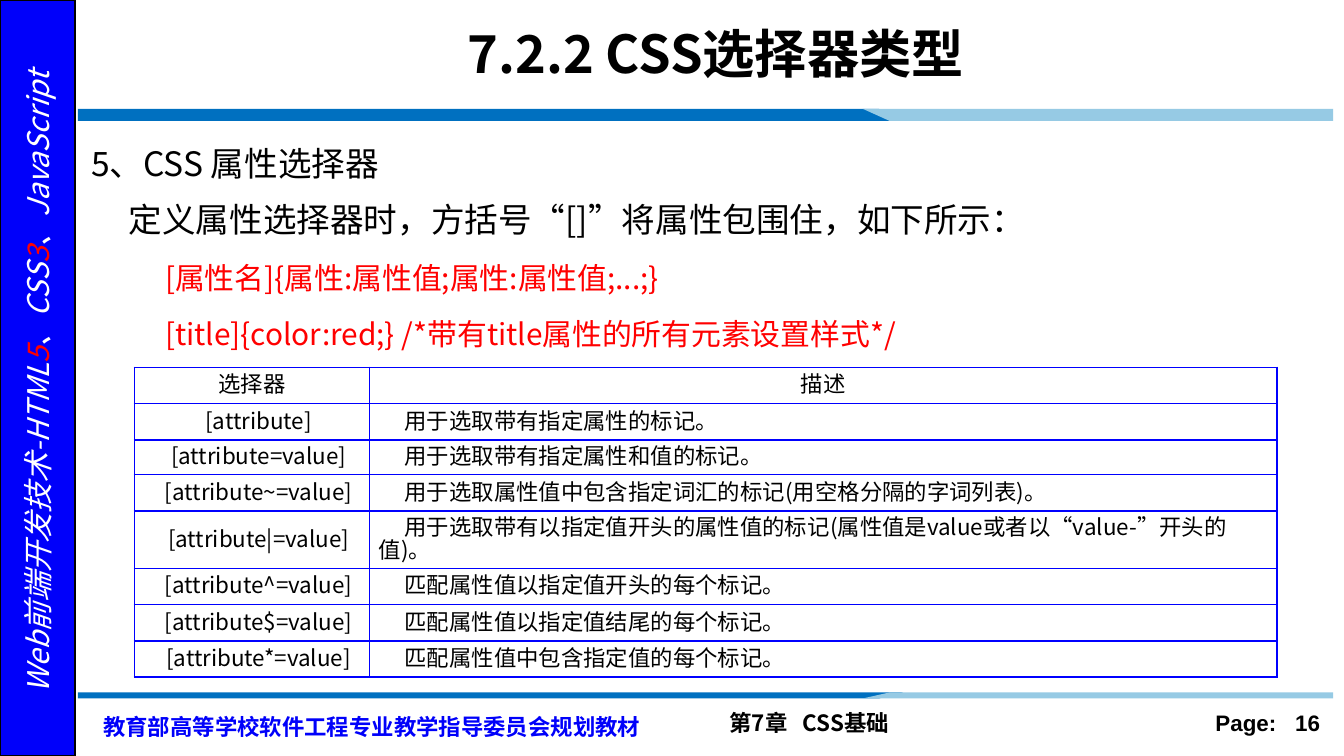
from dataclasses import dataclass
from typing import NamedTuple

from lxml import etree
from pptx import Presentation, util as u
from pptx.dml.color import RGBColor
from pptx.enum import shapes, text
from pptx.oxml.ns import qn

COLORS = {"black": "000000", "white": "FFFFFF", "red": "FF0000", "panel": "0000FA",
          "band": "0070C0", "band_light": "96CAE4", "grid": "0000FF"}
CJK = "Noto Sans CJK SC"
WIDTH, HEIGHT = u.Inches(10), u.Inches(5.625)
LEFT, CENTER, RIGHT = text.PP_ALIGN.LEFT, text.PP_ALIGN.CENTER, text.PP_ALIGN.RIGHT


class Box(NamedTuple):
    """Left, top, width and height in percent of the slide."""
    left: float
    top: float
    width: float
    height: float


class Piece(NamedTuple):
    words: str
    color: str = "black"
    spread: float = 0  # extra letter spacing in points


@dataclass
class Line:
    pieces: list[Piece]
    size: float
    bold: bool = False
    italic: bool = False
    font: str = CJK
    align: text.PP_ALIGN = LEFT
    spacing: float | None = None  # points
    margin: float = 0  # inches
    first_indent: float = 0  # inches


def across(percent: float) -> int:
    return round(WIDTH * percent / 100)


def down(percent: float) -> int:
    return round(HEIGHT * percent / 100)


def place(box: Box) -> tuple[int, int, int, int]:
    return across(box.left), down(box.top), across(box.width), down(box.height)


def rgb(name: str) -> RGBColor:
    return RGBColor.from_string(COLORS[name])


def write(frame, lines: list[Line]) -> None:
    for number, line in enumerate(lines):
        paragraph = frame.add_paragraph() if number else frame.paragraphs[0]
        paragraph.alignment = line.align
        if line.spacing:
            paragraph.line_spacing = u.Pt(line.spacing)
        properties = paragraph._p.get_or_add_pPr()
        properties.set("marL", str(u.Inches(line.margin)))
        properties.set("indent", str(u.Inches(line.first_indent)))
        for piece in line.pieces:
            run = paragraph.add_run()
            run.text = piece.words
            font = run.font
            font.name, font.size = line.font, u.Pt(line.size)
            font.bold, font.italic = line.bold, line.italic
            font.color.rgb = rgb(piece.color)
            if piece.spread:
                font._element.set("spc", str(round(piece.spread * 100)))
            east_asian = etree.SubElement(font._element, qn("a:ea"))
            east_asian.set("typeface", line.font)


def add_text(slide, box: Box, lines: list[Line], rotation: float = 0,
             anchor=text.MSO_ANCHOR.TOP) -> None:
    label = slide.shapes.add_textbox(*place(box))
    label.rotation = rotation
    label.text_frame.word_wrap = True
    label.text_frame.vertical_anchor = anchor
    write(label.text_frame, lines)


def add_band(slide, corners: list[tuple[float, float]], color: str) -> None:
    points = [(across(x), down(y)) for x, y in corners]
    builder = slide.shapes.build_freeform(*points[0])
    builder.add_line_segments(points[1:], close=True)
    band = builder.convert_to_shape()
    band.shadow.inherit = False
    band.fill.solid()
    band.fill.fore_color.rgb = rgb(color)
    band.line.fill.background()


def add_divider(slide, start: float, end: float) -> None:
    """Two bands meeting on a slant that runs from y start to y end."""
    add_band(slide, [(5.8, start), (65.4, start), (67.2, end), (5.8, end)], "band")
    add_band(slide, [(64.2, start), (99.2, start), (99.2, end), (66.2, end)], "band_light")


def border(cell) -> None:
    properties = cell._tc.get_or_add_tcPr()
    for position, side in enumerate(("lnL", "lnR", "lnT", "lnB")):
        edge = etree.Element(qn(f"a:{side}"), w=str(u.Pt(1)))
        fill = etree.SubElement(edge, qn("a:solidFill"))
        etree.SubElement(fill, qn("a:srgbClr"), val=COLORS["grid"])
        properties.insert(position, edge)


def add_selector_table(slide, box: Box, columns: list[float], heights: list[float],
                       rows: list[tuple[str, str]]) -> None:
    table = slide.shapes.add_table(len(rows), len(columns), *place(box)).table
    table.first_row = table.horz_banding = False
    for column, width in zip(table.columns, columns):
        column.width = across(width)
    for r, (row, height, entries) in enumerate(zip(table.rows, heights, rows)):
        row.height = down(height)
        for c, (cell, words) in enumerate(zip(row.cells, entries)):
            cell.margin_left = cell.margin_right = u.Inches(0.07)
            # Tight line spacing lifts the glyphs, so only the top has a margin
            cell.margin_top, cell.margin_bottom = u.Inches(0.04), 0
            cell.vertical_anchor = text.MSO_ANCHOR.MIDDLE
            cell.fill.background()
            border(cell)
            indent = (0.1, 0.19)[c] if r else 0
            align = LEFT if r and c else CENTER
            write(cell.text_frame, [Line([Piece(words)], 12, align=align, spacing=12,
                                         first_indent=indent)])


SELECTORS = [
    ("选择器", "描述"),
    ("[attribute]", "用于选取带有指定属性的标记。"),
    ("[attribute=value]", "用于选取带有指定属性和值的标记。"),
    ("[attribute~=value]", "用于选取属性值中包含指定词汇的标记(用空格分隔的字词列表)。"),
    ("[attribute|=value]",
     "用于选取带有以指定值开头的属性值的标记(属性值是value或者以“value-”开头的值)。"),
    ("[attribute^=value]", "匹配属性值以指定值开头的每个标记。"),
    ("[attribute$=value]", "匹配属性值以指定值结尾的每个标记。"),
    ("[attribute*=value]", "匹配属性值中包含指定值的每个标记。"),
]


def main() -> None:
    deck = Presentation()
    deck.slide_width, deck.slide_height = WIDTH, HEIGHT
    slide = deck.slides.add_slide(deck.slide_layouts[6])

    # Footer
    add_text(slide, Box(53.3, 93, 32.9, 5.3),
             [Line([Piece("第7章"), Piece(" ", spread=5.4), Piece("CSS基础")], 12, bold=True)])
    add_text(slide, Box(86.7, 93, 12.5, 5.3),
             [Line([Piece("Page:"), Piece(" ", spread=6.7), Piece("16")], 12, bold=True,
                   font="Arial", align=RIGHT)])
    add_text(slide, Box(6.7, 92.6, 43.3, 6.2),
             [Line([Piece("教育部高等学校软件工程专业教学指导委员会规划教材", "panel")], 12,
                   bold=True, spacing=18)])

    # Side panel with the book title
    panel = slide.shapes.add_shape(shapes.MSO_SHAPE.RECTANGLE, *place(Box(0, 0, 5.6, 100)))
    panel.shadow.inherit = False
    panel.fill.solid()
    panel.fill.fore_color.rgb = rgb("panel")
    panel.line.color.rgb = rgb("black")
    panel.line.width = u.Pt(1)
    book = [Piece("Web前端开发技术-HTML", "white"), Piece("5", "red"), Piece("、CSS", "white"),
            Piece("3", "red"), Piece("、JavaScript", "white")]
    add_text(slide, Box(-23.1, 47.3, 51.9, 6.6),
             [Line(book, 16, italic=True, align=CENTER)], rotation=270)

    # Dividers; the lower one slants the other way
    add_divider(slide, 14.4, 16)
    add_divider(slide, 92.4, 91.6)

    # Title and body
    add_text(slide, Box(10.8, 1.4, 84.9, 11),
             [Line([Piece("7.2.2 CSS选择器类型")], 28, bold=True, align=CENTER)],
             anchor=text.MSO_ANCHOR.MIDDLE)
    body = [
        ("5、CSS 属性选择器", "black", 18, 0),
        ("定义属性选择器时，方括号“[]”将属性包围住，如下所示：", "black", 18, 0.28),
        ("[属性名]{属性:属性值;属性:属性值;...;}", "red", 16, 0.55),
        ("[title]{color:red;} /*带有title属性的所有元素设置样式*/", "red", 16, 0.55),
    ]
    add_text(slide, Box(5.8, 16, 93.3, 30.8),
             [Line([Piece(words, color)], size, spacing=30, margin=margin)
              for words, color, size, margin in body])

    # Selector table; the row with two lines of text is taller
    heights = [4.8, 4.8, 4.6, 4.8, 7.6, 4.8, 4.8, 4.8]
    add_selector_table(slide, Box(10, 48.6, 85, sum(heights)), [17.5, 67.5], heights, SELECTORS)

    deck.save("out.pptx")


if __name__ == "__main__":
    main()
